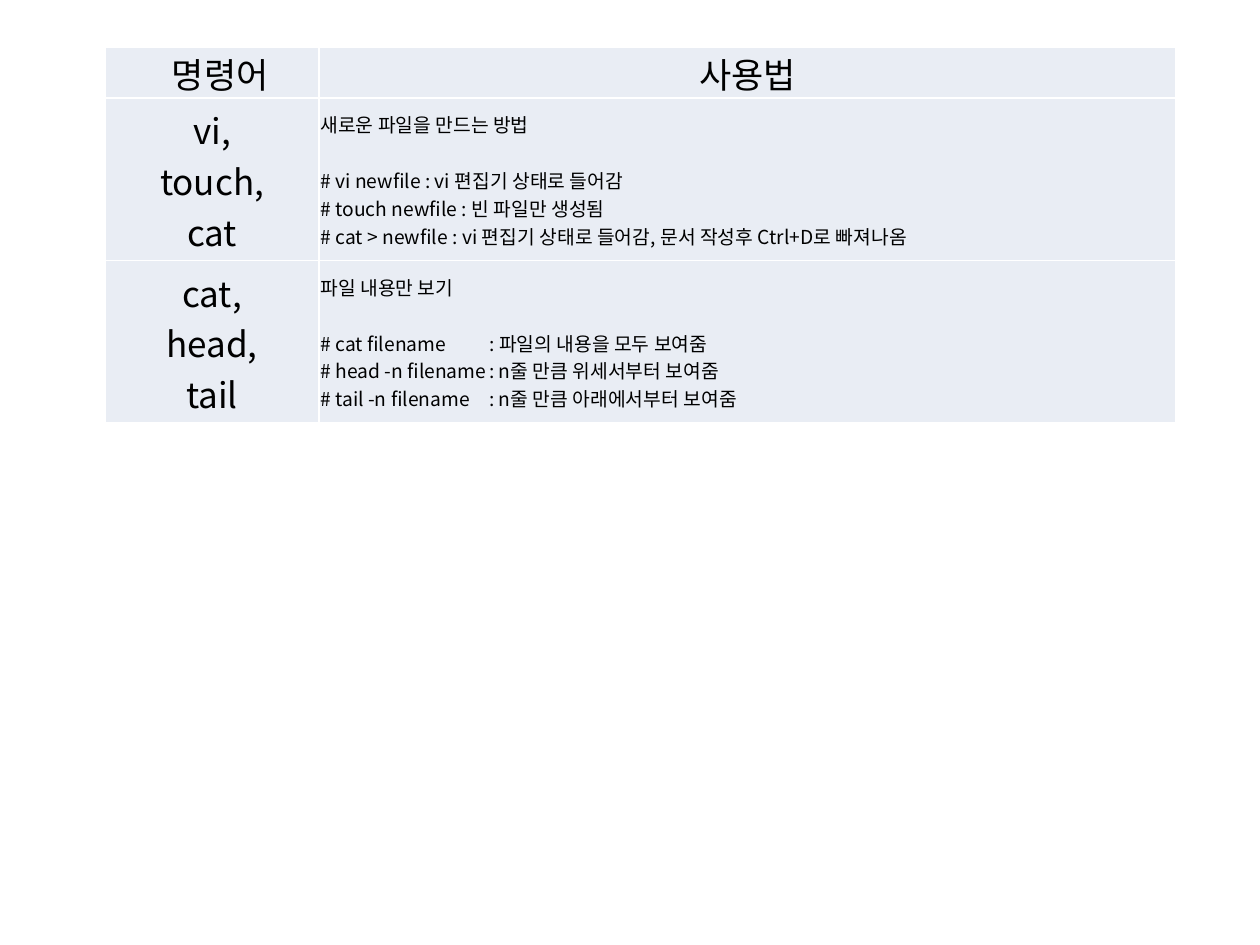
from lxml.etree import SubElement
from pptx import Presentation
from pptx.dml.color import RGBColor
from pptx.enum.text import MSO_ANCHOR as Anchor, PP_ALIGN as Align
from pptx.oxml.ns import qn
from pptx.util import Inches, Pt

COLORS = {"text": "000000", "cell": "E9EDF4", "border": "FFFFFF"}
FONT = "Noto Sans CJK KR"
SLIDE_WIDTH, SLIDE_HEIGHT = Inches(10), Inches(7.5)
COLUMN_SHARES = (0.2, 0.8)
ROW_HEIGHTS = (0.31, 1.29, 1.29)
COLON_TAB = Inches(1.34)

HEADINGS = ("명령어", "사용법")
COMMANDS = (
    (
        ("vi,", "touch,", "cat"),
        "새로운 파일을 만드는 방법",
        (
            "# vi newfile : vi 편집기 상태로 들어감",
            "# touch newfile : 빈 파일만 생성됨",
            "# cat > newfile : vi 편집기 상태로 들어감, 문서 작성후 Ctrl+D로 빠져나옴",
        ),
    ),
    (
        ("cat,", "head,", "tail"),
        "파일 내용만 보기",
        (
            "# cat filename\t: 파일의 내용을 모두 보여줌",
            "# head -n filename\t: n줄 만큼 위세서부터 보여줌",
            "# tail -n filename\t: n줄 만큼 아래에서부터 보여줌",
        ),
    ),
)


def style_cell(cell, margin=0.01, indent=0):
    cell.vertical_anchor = Anchor.MIDDLE
    cell.margin_left = Inches(margin + indent)
    cell.margin_top = cell.margin_right = Inches(margin)
    cell.margin_bottom = 0
    properties = cell._tc.get_or_add_tcPr()
    for side in ("a:lnL", "a:lnR", "a:lnT", "a:lnB"):
        line = SubElement(properties, qn(side), w=str(Pt(1)))
        fill = SubElement(line, qn("a:solidFill"))
        SubElement(fill, qn("a:srgbClr"), val=COLORS["border"])
    cell.fill.solid()
    cell.fill.fore_color.rgb = RGBColor.from_string(COLORS["cell"])


def write_lines(cell, lines, size=20, align=Align.CENTER, first_gap=0):
    frame = cell.text_frame
    for index, line in enumerate(lines):
        paragraph = frame.add_paragraph() if index else frame.paragraphs[0]
        paragraph.alignment = align
        paragraph.space_after = Pt(0 if index else first_gap)
        if "\t" in line:
            tabs = SubElement(paragraph._p.get_or_add_pPr(), qn("a:tabLst"))
            SubElement(tabs, qn("a:tab"), pos=str(COLON_TAB), algn="l")
        run = paragraph.add_run()
        run.text = line
        run.font.size = Pt(size)
        run.font.name = FONT
        run.font.color.rgb = RGBColor.from_string(COLORS["text"])
        SubElement(run.font._element, qn("a:ea"), typeface=FONT)


def add_command_table(slide, left, top, width):
    height = Inches(sum(ROW_HEIGHTS))
    shape = slide.shapes.add_table(
        len(ROW_HEIGHTS), len(COLUMN_SHARES), left, top, width, height
    )
    table = shape.table
    for column, share in zip(table.columns, COLUMN_SHARES):
        column.width = int(width * share)
    for row, row_height in zip(table.rows, ROW_HEIGHTS):
        row.height = Inches(row_height)

    for column, (heading, indent) in enumerate(zip(HEADINGS, (0.13, 0))):
        cell = table.cell(0, column)
        style_cell(cell, margin=0, indent=indent)
        write_lines(cell, [heading])

    for row, (names, title, usages) in enumerate(COMMANDS, start=1):
        name_cell, usage_cell = table.cell(row, 0), table.cell(row, 1)
        style_cell(name_cell)
        write_lines(name_cell, names)
        style_cell(usage_cell)
        write_lines(usage_cell, (title, *usages), size=11, align=Align.LEFT, first_gap=16)


def main():
    presentation = Presentation()
    presentation.slide_width, presentation.slide_height = SLIDE_WIDTH, SLIDE_HEIGHT
    slide = presentation.slides.add_slide(presentation.slide_layouts[6])
    add_command_table(
        slide,
        left=int(SLIDE_WIDTH / 12),
        top=int(SLIDE_HEIGHT * 0.05),
        width=int(SLIDE_WIDTH * 0.85),
    )
    presentation.save("out.pptx")


if __name__ == "__main__":
    main()
